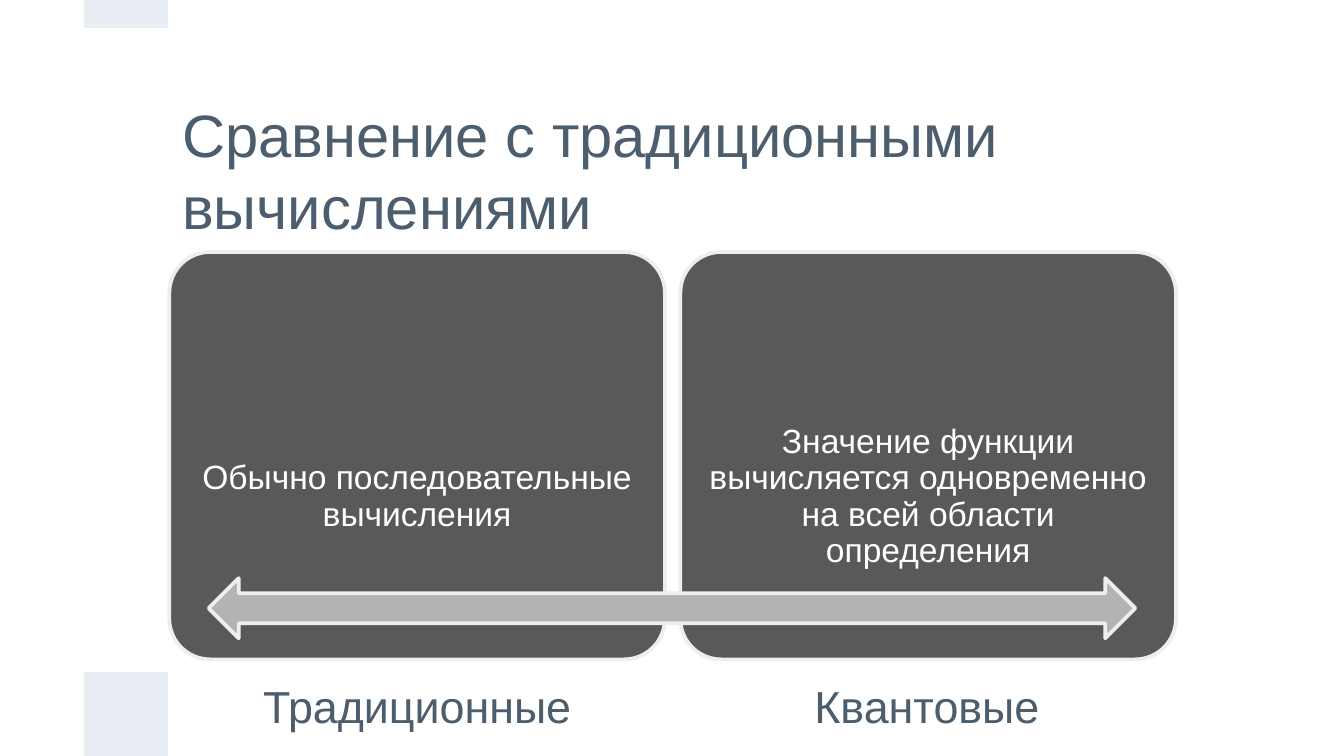
from dataclasses import dataclass

from pptx import Presentation
from pptx.dml.color import RGBColor
from pptx.enum.shapes import MSO_SHAPE
from pptx.enum.text import MSO_ANCHOR, MSO_AUTO_SIZE, PP_ALIGN
from pptx.util import Pt

RECT = MSO_SHAPE.RECTANGLE
ROUNDED = MSO_SHAPE.ROUNDED_RECTANGLE
DOUBLE_ARROW = MSO_SHAPE.LEFT_RIGHT_ARROW
TOP, MIDDLE = MSO_ANCHOR.TOP, MSO_ANCHOR.MIDDLE
LEFT, CENTER = PP_ALIGN.LEFT, PP_ALIGN.CENTER
NO_AUTOFIT = MSO_AUTO_SIZE.NONE

EMU_PER_PX = 9525  # 96 px to the inch


@dataclass(frozen=True)
class Theme:
    font: str = "Arial"
    ink: str = "4C5D6E"
    accent: str = "E9EDF4"
    card: str = "595959"
    card_text: str = "FFFFFF"
    arrow: str = "B3B3B3"
    outline: str = "EEEEEE"
    title_size: int = 32
    label_size: int = 24
    card_size: int = 18
    outline_width: int = 2


THEME = Theme()

# Each side: card left, label left, card text, label
SIDES = (
    (121, 120, "Обычно последовательные вычисления", "Традиционные"),
    (486, 484, "Значение функции вычисляется одновременно на всей области определения",
     "Квантовые"),
)


def px(length):
    return length * EMU_PER_PX


def box(*lengths):
    return [px(length) for length in lengths]


def write(holder, text, size, color, insets, spacing, align=CENTER, anchor=TOP):
    """Fill a text holder with one formatted paragraph."""
    frame = holder.text_frame
    frame.text = text
    frame.word_wrap = True
    frame.auto_size = NO_AUTOFIT
    frame.vertical_anchor = anchor
    inset_x, inset_y = box(*insets)
    frame.margin_left = frame.margin_right = inset_x
    frame.margin_top = frame.margin_bottom = inset_y
    paragraph = frame.paragraphs[0]
    paragraph.alignment = align
    paragraph.line_spacing = spacing
    paragraph.space_before = Pt(0)
    font = paragraph.runs[0].font
    font.name = THEME.font
    font.size = Pt(size)
    font.color.rgb = RGBColor.from_string(color)


def add_block(slide, kind, place, fill, outlined=True, adjustments=()):
    block = slide.shapes.add_shape(kind, *box(*place))
    block.shadow.inherit = False
    block.fill.solid()
    block.fill.fore_color.rgb = RGBColor.from_string(fill)
    if outlined:
        block.line.color.rgb = RGBColor.from_string(THEME.outline)
        block.line.width = Pt(THEME.outline_width)
    else:
        block.line.fill.background()
    for index, value in enumerate(adjustments):
        block.adjustments[index] = value


def add_text(slide, place, text, size, color, insets, spacing, anchor=TOP):
    holder = slide.shapes.add_textbox(*box(*place))
    write(holder, text, size, color, insets, spacing, anchor=anchor)


def set_title(slide, text):
    title = slide.shapes.title
    title.left, title.top, title.width, title.height = box(120, 60, 720, 120)
    write(title, text, THEME.title_size, THEME.ink, (10, 10), 1.0, align=LEFT)


def main():
    deck = Presentation()
    deck.slide_width, deck.slide_height = box(960, 540)
    slide = deck.slides.add_slide(deck.slide_layouts[0])
    subtitle = slide.placeholders[1].element
    subtitle.getparent().remove(subtitle)

    set_title(slide, "Сравнение с традиционными вычислениями")

    # Accent blocks at the slide edges
    for top, height in ((480, 60), (0, 20)):
        add_block(slide, RECT, (60, top, 60, height), THEME.accent, outlined=False)

    # Comparison cards
    for card_left, _, description, _ in SIDES:
        add_block(slide, ROUNDED, (card_left, 180, 354, 291), THEME.card,
                  adjustments=(0.1,))
        add_text(slide, (card_left, 297, 354, 116), description, THEME.card_size,
                 THEME.card_text, (13, 13), 0.9, anchor=MIDDLE)

    # Arrow across both cards
    add_block(slide, DOUBLE_ARROW, (149, 413, 662, 43), THEME.arrow,
              adjustments=(0.5, 0.5))

    # Labels below the cards
    for _, label_left, _, label in SIDES:
        add_text(slide, (label_left, 474, 356, 62), label, THEME.label_size,
                 THEME.ink, (10, 5), 1.15)

    deck.save("out.pptx")


if __name__ == "__main__":
    main()
